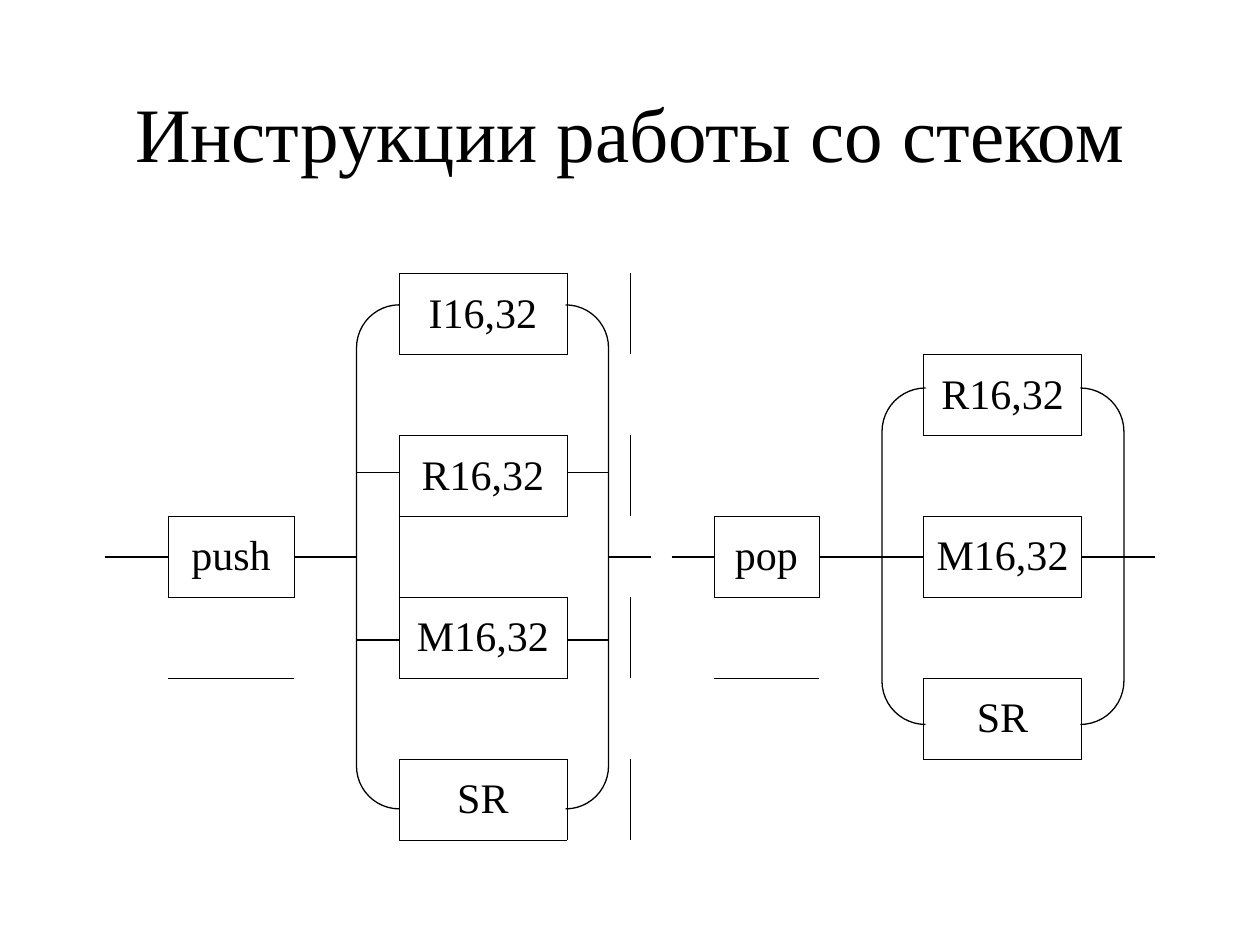
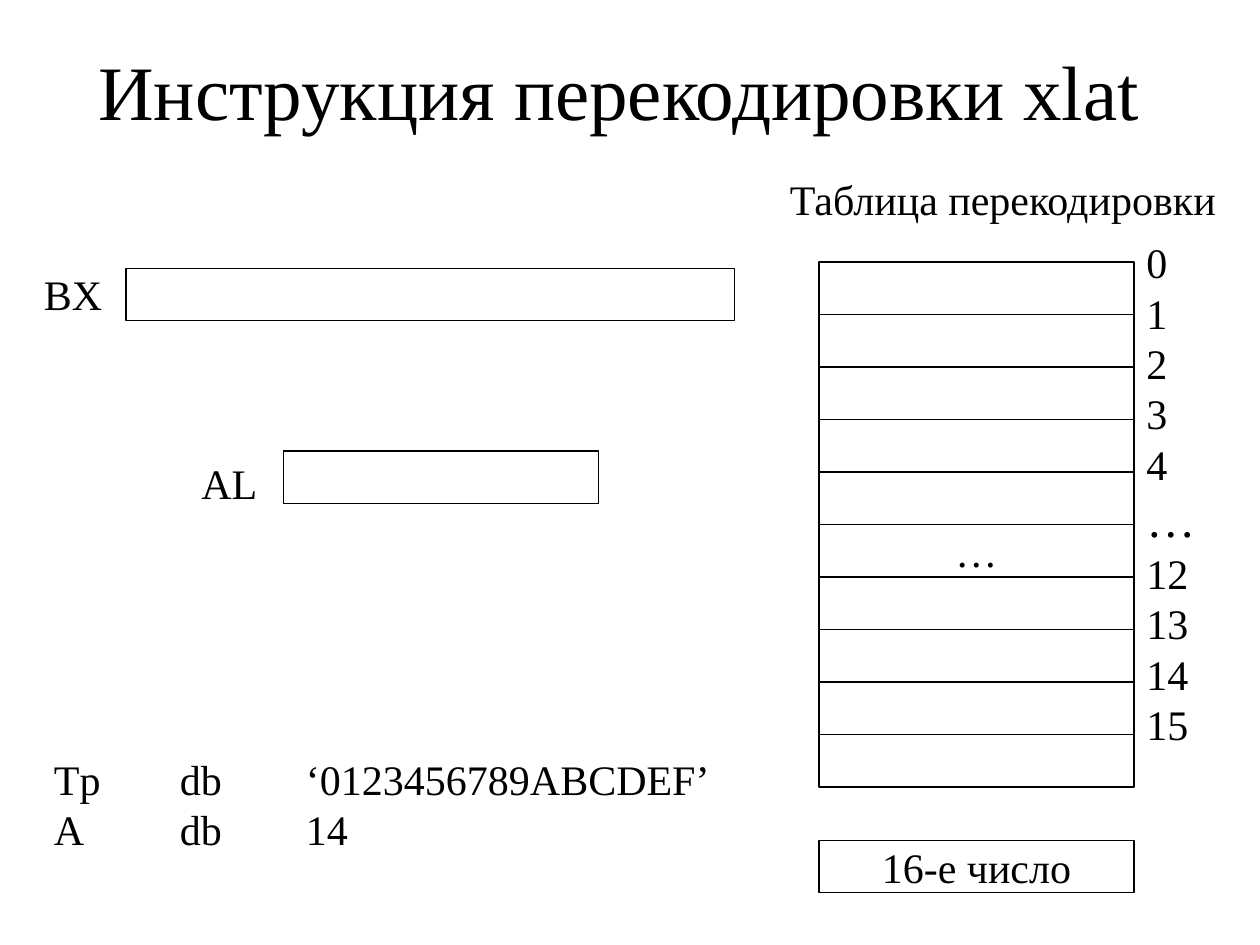
from lxml import etree
from pptx import Presentation
from pptx.dml.color import RGBColor
from pptx.enum.shapes import MSO_CONNECTOR, MSO_SHAPE
from pptx.enum.text import MSO_ANCHOR, PP_ALIGN
from pptx.oxml.ns import qn
from pptx.util import Inches, Pt

BLACK = RGBColor(0, 0, 0)
WHITE = RGBColor(255, 255, 255)
FONT = "Times New Roman"
NO_STYLE = "{2D5ABB26-0587-4C30-8999-92F81FD0307C}"


def write(tf, text, size=24, align=PP_ALIGN.LEFT, wrap=True, tabs=()):
    tf.word_wrap = wrap
    for i, line in enumerate(text.split("\n")):
        p = tf.add_paragraph() if i else tf.paragraphs[0]
        p.alignment = align
        if tabs:
            tab_list = etree.SubElement(p._p.get_or_add_pPr(), qn("a:tabLst"))
            for pos in tabs:
                etree.SubElement(tab_list, qn("a:tab"), pos=str(Inches(pos)), algn="l")
        r = p.add_run()
        r.text = line
        r.font.name = FONT
        r.font.size = Pt(size)
        r.font.color.rgb = BLACK


def add_box(s, kind, x, y, w, h, fill=None):
    sp = s.shapes.add_shape(kind, Inches(x), Inches(y), Inches(w), Inches(h))
    sp.shadow.inherit = False
    if fill is None:
        sp.fill.background()
    else:
        sp.fill.solid()
        sp.fill.fore_color.rgb = fill
    sp.line.color.rgb = BLACK
    sp.line.width = Pt(0.75)
    return sp


prs = Presentation()
prs.slide_width, prs.slide_height = Inches(10), Inches(7.5)

# Slides with their titles
slides = []
for title, box in [
    ("Инструкции работы со стеком", (0.75, 0.42, 8.5, 1.25)),
    ("Инструкция перекодировки xlat", (0.58, 0.42, 8.67, 0.58)),
]:
    s = prs.slides.add_slide(prs.slide_layouts[6])
    tf = s.shapes.add_textbox(*map(Inches, box)).text_frame
    tf.vertical_anchor = MSO_ANCHOR.MIDDLE
    write(tf, title, size=44, align=PP_ALIGN.CENTER)
    slides.append(s)
stack_slide, xlat_slide = slides

# Stack instructions: table whose filled cells are framed
ROWS = 7
COL_TWELFTHS = [7, 12, 10, 16, 6, 8, 10, 10, 15, 8]
OPERANDS = {
    (0, 3): "I16,32", (2, 3): "R16,32", (4, 3): "M16,32", (6, 3): "SR",
    (3, 1): "push", (3, 6): "pop",
    (1, 8): "R16,32", (3, 8): "M16,32", (5, 8): "SR",
}
frame = stack_slide.shapes.add_table(
    ROWS, len(COL_TWELFTHS), Inches(0.75), Inches(2.17), Inches(8.5), Inches(4.5))
table = frame.table
table.first_row = table.horz_banding = False
table._tbl.tblPr.find(qn("a:tableStyleId")).text = NO_STYLE
for col, twelfths in zip(table.columns, COL_TWELFTHS):
    col.width = Inches(twelfths / 12)
for row in table.rows:
    row.height = Inches(4.5 / ROWS)

# Each frame side is shared with the neighbouring cell
SIDES = [("lnL", 0, -1), ("lnR", 0, 1), ("lnT", -1, 0), ("lnB", 1, 0)]
for row in range(ROWS):
    for col in range(len(COL_TWELFTHS)):
        cell = table.cell(row, col)
        tc_pr = cell._tc.get_or_add_tcPr()
        for side, down, right in SIDES:
            if (row, col) in OPERANDS or (row + down, col + right) in OPERANDS:
                ln = etree.SubElement(tc_pr, qn("a:" + side), w=str(Pt(0.45)))
                solid = etree.SubElement(ln, qn("a:solidFill"))
                etree.SubElement(solid, qn("a:srgbClr"), val=str(BLACK))
        cell.fill.background()
        if (row, col) in OPERANDS:
            cell.vertical_anchor = MSO_ANCHOR.MIDDLE
            write(cell.text_frame, OPERANDS[row, col], align=PP_ALIGN.CENTER)

# Branches around the operands
for x, y, w, h, corner in [(2.83, 2.42, 2, 4, 0.17), (7, 3.08, 1.92, 2.67, 0.18)]:
    sp = add_box(stack_slide, MSO_SHAPE.DOUBLE_BRACKET, x, y, w, h)
    sp.adjustments[0] = corner

# Horizontal links: start, end, height
AXIS = 4.42
links = [(x1, x2, AXIS) for x1, x2 in [
    (0.83, 1.33), (2.33, 2.83), (4.83, 5.17), (5.33, 5.67), (6.5, 7.33), (8.58, 9.17)]]
links += [(x1, x2, y) for y in (3.75, 5.08) for x1, x2 in [(2.83, 3.17), (4.5, 4.83)]]
for x1, x2, y in links:
    link = stack_slide.shapes.add_connector(
        MSO_CONNECTOR.STRAIGHT, Inches(x1), Inches(y), Inches(x2), Inches(y))
    link.line.color.rgb = BLACK
    link.line.width = Pt(0.75)
    etree.SubElement(link._element.spPr, qn("a:effectLst"))

# xlat: registers, translation table cells and result
CELL_W, CELL_H, TABLE_X = 2.5, 5 / 12, 6.5
rects = [(1, 2.13, 4.83, ""), (2.25, 3.58, CELL_W, ""),
         (TABLE_X, 6.67, CELL_W, "16-е число")]
rects += [(TABLE_X, 2.08 + i * CELL_H, CELL_W, "…" if i == 5 else "") for i in range(10)]
for x, y, w, text in rects:
    sp = add_box(xlat_slide, MSO_SHAPE.RECTANGLE, x, y, w, CELL_H, fill=WHITE)
    if text:
        sp.text_frame.vertical_anchor = MSO_ANCHOR.MIDDLE
        write(sp.text_frame, text, align=PP_ALIGN.CENTER, wrap=False)

# xlat: labels and data definitions
for x, y, w, h, text, tabs in [
    (0.25, 2.08, 0.67, 0.5, "BX", ()),
    (1.5, 3.58, 0.67, 0.5, "AL", ()),
    (6.17, 1.33, 3.75, 0.5, "Таблица перекодировки", ()),
    (0.33, 5.93, 5.83, 0.9, "Tp\tdb\t‘0123456789ABCDEF’\nA\tdb\t14", (1, 2)),
]:
    tb = xlat_slide.shapes.add_textbox(Inches(x), Inches(y), Inches(w), Inches(h))
    write(tb.text_frame, text, tabs=tabs)

# xlat: cell numbers, with a larger ellipsis
tb = xlat_slide.shapes.add_textbox(Inches(9), Inches(1.83), Inches(0.75), Inches(4.17))
numbers = ["0", "1", "2", "3", "4", "…", "12", "13", "14", "15"]
write(tb.text_frame, "\n".join(numbers))
tb.text_frame.paragraphs[numbers.index("…")].runs[0].font.size = Pt(28)

prs.save("out.pptx")
